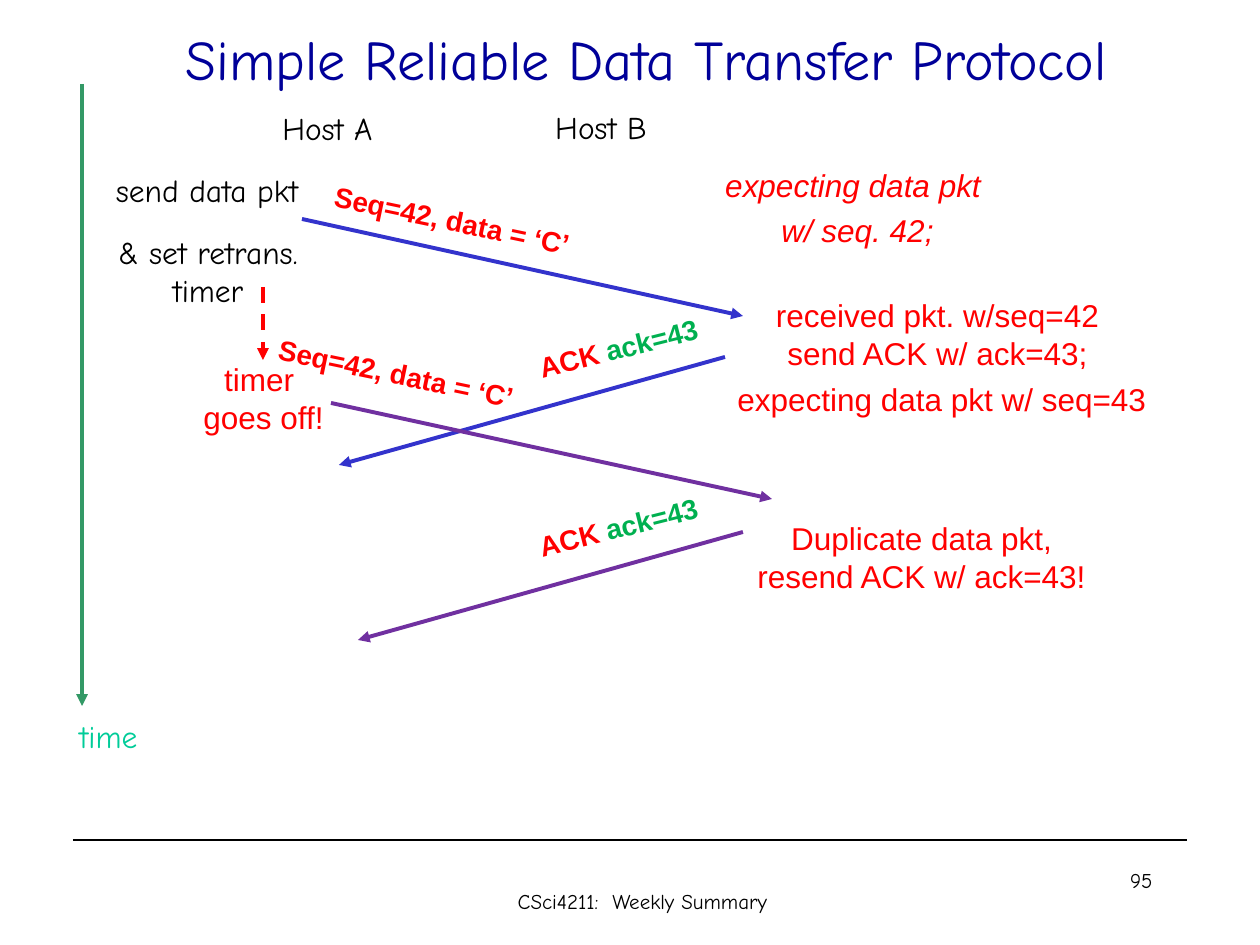
"""Builds the slide on retransmission in a simple reliable data transfer protocol."""
from lxml.etree import SubElement
from pptx import Presentation
from pptx.dml.color import RGBColor
from pptx.enum.dml import MSO_LINE_DASH_STYLE as Dash
from pptx.enum.shapes import MSO_CONNECTOR as Connector
from pptx.enum.text import MSO_ANCHOR as Anchor, MSO_AUTO_SIZE as AutoSize, PP_ALIGN as Align
from pptx.oxml.ns import qn
from pptx.util import Emu, Pt

EMU_PER_PX = 914400 / 126
HAND, SANS = "Comic Neue", "Arial"
BLACK, RED, GREEN, BLUE, PURPLE = "000000", "FF0000", "00B050", "3333CC", "7030A0"


def px(length):
    """Turns pixels into EMU."""
    return Emu(round(length * EMU_PER_PX))


def rgb(color):
    """Turns a hex string into a colour."""
    return RGBColor.from_string(color)


def write(frame, lines, size=18, face=HAND, color=BLACK, bold=False, italic=False,
          align=Align.CENTER, gaps=()):
    """Fills a frame with lines of (words, colour) runs or plain strings."""
    for index, line in enumerate(lines):
        paragraph = frame.paragraphs[0] if index == 0 else frame.add_paragraph()
        paragraph.alignment = align
        if index and gaps:
            paragraph.space_before = Pt(gaps[index - 1])
        for words, ink in [(line, color)] if isinstance(line, str) else line:
            run = paragraph.add_run()
            run.text = words
            font = run.font
            font.name, font.size, font.bold, font.italic = face, Pt(size), bold, italic
            font.color.rgb = rgb(ink)


class Diagram:
    """Holds the slide and the style of its labels and arrows."""

    def __init__(self, deck):
        """Adds a blank slide to the deck."""
        self.shapes = deck.slides.add_slide(deck.slide_layouts[6]).shapes

    def text(self, box, *lines, wrap=False, anchor=Anchor.TOP, angle=0, **style):
        """Adds a text box; unwrapped boxes grow with their text."""
        label = self.shapes.add_textbox(*map(px, box))
        label.rotation = angle
        frame = label.text_frame
        frame.word_wrap = wrap
        frame.auto_size = AutoSize.NONE if wrap else AutoSize.SHAPE_TO_FIT_TEXT
        frame.vertical_anchor = anchor
        write(frame, lines, **style)

    def line(self, start, end, color, width=2.25, head=True, dash=None):
        """Adds a straight line, by default an arrow."""
        link = self.shapes.add_connector(Connector.STRAIGHT, *map(px, start + end))
        link.line.color.rgb = rgb(color)
        link.line.width = Pt(width)
        if dash:
            link.line.dash_style = dash
        if head:
            SubElement(link.line._get_or_add_ln(), qn("a:tailEnd"), type="triangle")
        SubElement(link._element.spPr, qn("a:effectLst"))

    def packet(self, left, top):
        """Adds the slanted label of a data packet."""
        self.text((left, top, 280, 47), "Seq=42, data = ‘C’", angle=11.8,
                  size=16, face=SANS, color=RED, bold=True)

    def ack(self, left, top):
        """Adds the slanted label of an acknowledgement."""
        self.text((left, top, 189, 47), [("ACK ", RED), ("ack=43", GREEN)], angle=-14.1,
                  size=16, face=SANS, bold=True)

    def event(self, box, *lines, **style):
        """Adds a red note on what a host sees or does."""
        self.text(box, *lines, face=SANS, color=RED, **style)


def main():
    """Builds and saves the slide."""
    deck = Presentation()
    deck.slide_width, deck.slide_height = px(1260), px(945)
    diagram = Diagram(deck)

    diagram.line((73, 840), (1187, 840), BLACK, width=0.75, head=False)
    diagram.text((903, 861, 262, 63), "95", wrap=True, size=12, align=Align.RIGHT)
    diagram.text((84, -21, 1144, 158), "Simple Reliable Data Transfer Protocol ",
                 wrap=True, anchor=Anchor.MIDDLE, size=32, color="000099")

    diagram.line((302, 219), (743, 316), BLUE)
    diagram.text((263, 103, 129, 50), "Host A")
    diagram.text((538, 102, 126, 50), "Host B")
    diagram.packet(312, 197)
    diagram.text((93, 165, 228, 50), "send data pkt")
    diagram.text((63, 711, 91, 50), "time", color="00CC99")
    diagram.line((82, 84), (82, 706), "339966")
    diagram.text((92, 227, 232, 89), "& set retrans.", "timer")
    diagram.line((725, 357), (339, 465), BLUE)
    diagram.ack(524, 325)

    diagram.line((263, 287), (263, 360), RED, dash=Dash.DASH)
    diagram.event((190, 354, 147, 89), "timer ", "goes off!")
    diagram.line((331, 403), (772, 499), PURPLE)
    diagram.packet(256, 350)
    diagram.event((743, 513, 357, 127), "Duplicate data pkt,", "resend ACK w/ ack=43!")
    diagram.line((743, 532), (358, 640), PURPLE)
    diagram.ack(524, 504)

    diagram.event((595, 160, 525, 142), "expecting data pkt ", "w/ seq. 42;",
                  wrap=True, italic=True, gaps=(4,))
    diagram.event((714, 290, 447, 136), "received pkt. w/seq=42", "send ACK w/ ack=43;",
                  " expecting data pkt w/ seq=43", gaps=(0, 5))
    diagram.text((441, 882, 410, 63), "CSci4211:  Weekly Summary ", wrap=True, size=12)

    deck.save("out.pptx")


if __name__ == "__main__":
    main()
